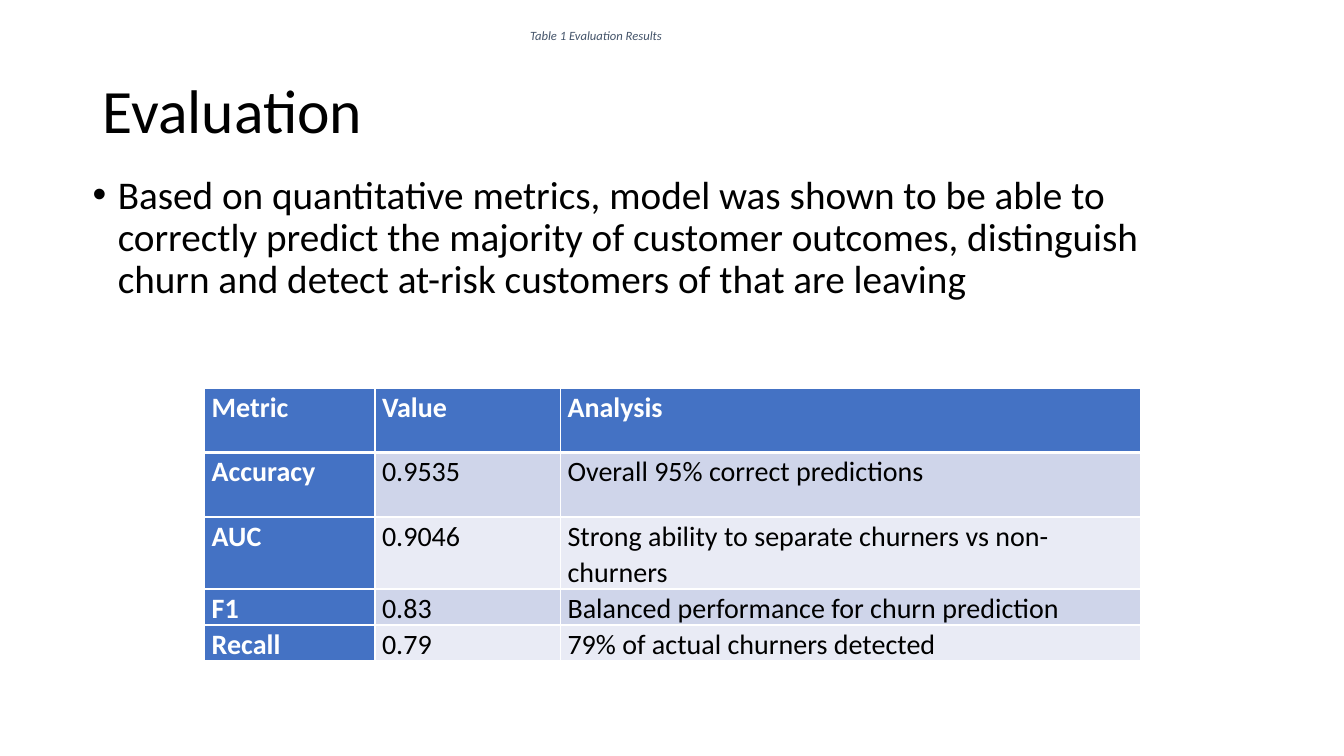
from lxml.etree import SubElement
from pptx import Presentation
from pptx.dml.color import RGBColor
from pptx.enum.text import MSO_ANCHOR as Anchor, PP_ALIGN as Align
from pptx.oxml.ns import qn
from pptx.util import Inches, Pt

BLACK = RGBColor(0x00, 0x00, 0x00)
WHITE = RGBColor(0xFF, 0xFF, 0xFF)
SLATE = RGBColor(0x44, 0x54, 0x6A)
BLUE = RGBColor(0x44, 0x72, 0xC4)
BANDS = [RGBColor(0xCF, 0xD5, 0xEA), RGBColor(0xE9, 0xEB, 0xF5)]
FONT = "Calibri"

TITLE = "Evaluation"
CAPTION = "Table 1 Evaluation Results"
FINDING = (
    "Based on quantitative metrics, model was shown to be able to correctly "
    "predict the majority of customer outcomes, distinguish churn and detect "
    "at-risk customers of that are leaving"
)
RESULTS = [
    ("Metric", "Value", "Analysis"),
    ("Accuracy", "0.9535", "Overall 95% correct predictions"),
    ("AUC", "0.9046", "Strong ability to separate churners vs non-churners"),
    ("F1", "0.83", "Balanced performance for churn prediction"),
    ("Recall", "0.79", "79% of actual churners detected"),
]
COLUMN_WIDTHS = [1.69, 1.84, 5.75]
ROW_HEIGHTS = [0.64, 0.64, 0.64, 0.31, 0.31]

TITLE_BOX = (0.92, 0.4, 11.5, 1.45)
TABLE_BOX = (2.03, 3.85, sum(COLUMN_WIDTHS), sum(ROW_HEIGHTS))
CAPTION_BOX = (-3.28, 0.23, 18.38, 0.25)
FINDING_BOX = (0.82, 1.69, 11.5, 4.76)


def write(frame, text, size, color, paragraph_format, **font_format):
    """Fill the frame's first paragraph and return it."""
    paragraph = frame.paragraphs[0]
    for name, value in paragraph_format.items():
        setattr(paragraph, name, value)
    run = paragraph.add_run()
    run.text = text
    run.font.color.rgb = color
    for name, value in {"name": FONT, "size": Pt(size), **font_format}.items():
        setattr(run.font, name, value)
    return paragraph


def add_text(slide, box, anchor, *content, **font_format):
    frame = slide.shapes.add_textbox(*map(Inches, box)).text_frame
    frame.word_wrap = True
    frame.vertical_anchor = anchor
    return write(frame, *content, **font_format)


def add_bullet(paragraph, indent):
    properties = paragraph._p.get_or_add_pPr()
    properties.set("marL", str(Inches(indent)))
    properties.set("indent", str(-Inches(indent)))
    SubElement(properties, qn("a:buFont"), typeface="Arial")
    SubElement(properties, qn("a:buChar"), char="•")


def add_borders(cell, widths):
    """Draw white borders; call before the fill, which must follow them."""
    properties = cell._tc.get_or_add_tcPr()
    for side, width in widths.items():
        line = SubElement(properties, qn(f"a:ln{side}"), w=str(Pt(width)))
        fill = SubElement(line, qn("a:solidFill"))
        SubElement(fill, qn("a:srgbClr"), val=str(WHITE))


def add_results(slide):
    shape = slide.shapes.add_table(
        len(RESULTS), len(COLUMN_WIDTHS), *map(Inches, TABLE_BOX))
    table = shape.table
    table.first_col = True
    for column, width in zip(table.columns, COLUMN_WIDTHS):
        column.width = Inches(width)
    for row, height in zip(table.rows, ROW_HEIGHTS):
        row.height = Inches(height)

    cell_format = {"margin_left": Inches(0.07), "margin_right": Inches(0.07),
                   "margin_top": 0, "margin_bottom": 0}
    spacing = {"line_spacing": 1.07, "space_after": Pt(8)}
    for r, result in enumerate(RESULTS):
        for c, text in enumerate(result):
            cell = table.cell(r, c)
            heading = r == 0 or c == 0
            for name, value in cell_format.items():
                setattr(cell, name, value)
            add_borders(cell, {"L": 1, "R": 1, "T": 3 if r == 1 else 1,
                               "B": 3 if r == 0 else 1})
            cell.fill.solid()
            cell.fill.fore_color.rgb = BLUE if heading else BANDS[(r - 1) % 2]
            write(cell.text_frame, text, 20, WHITE if heading else BLACK,
                  spacing, bold=heading)


def main():
    deck = Presentation()
    deck.slide_width, deck.slide_height = Inches(13.33), Inches(7.5)
    slide = deck.slides.add_slide(deck.slide_layouts[6])

    add_text(slide, TITLE_BOX, Anchor.MIDDLE, TITLE, 44, BLACK,
             {"line_spacing": 0.9})
    add_results(slide)
    add_text(slide, CAPTION_BOX, Anchor.MIDDLE, CAPTION, 9, SLATE,
             {"alignment": Align.CENTER}, italic=True)
    finding = add_text(slide, FINDING_BOX, Anchor.TOP, FINDING, 28, BLACK,
                       {"line_spacing": 0.9, "space_before": Pt(10)})
    add_bullet(finding, 0.25)
    deck.save("out.pptx")


if __name__ == "__main__":
    main()
